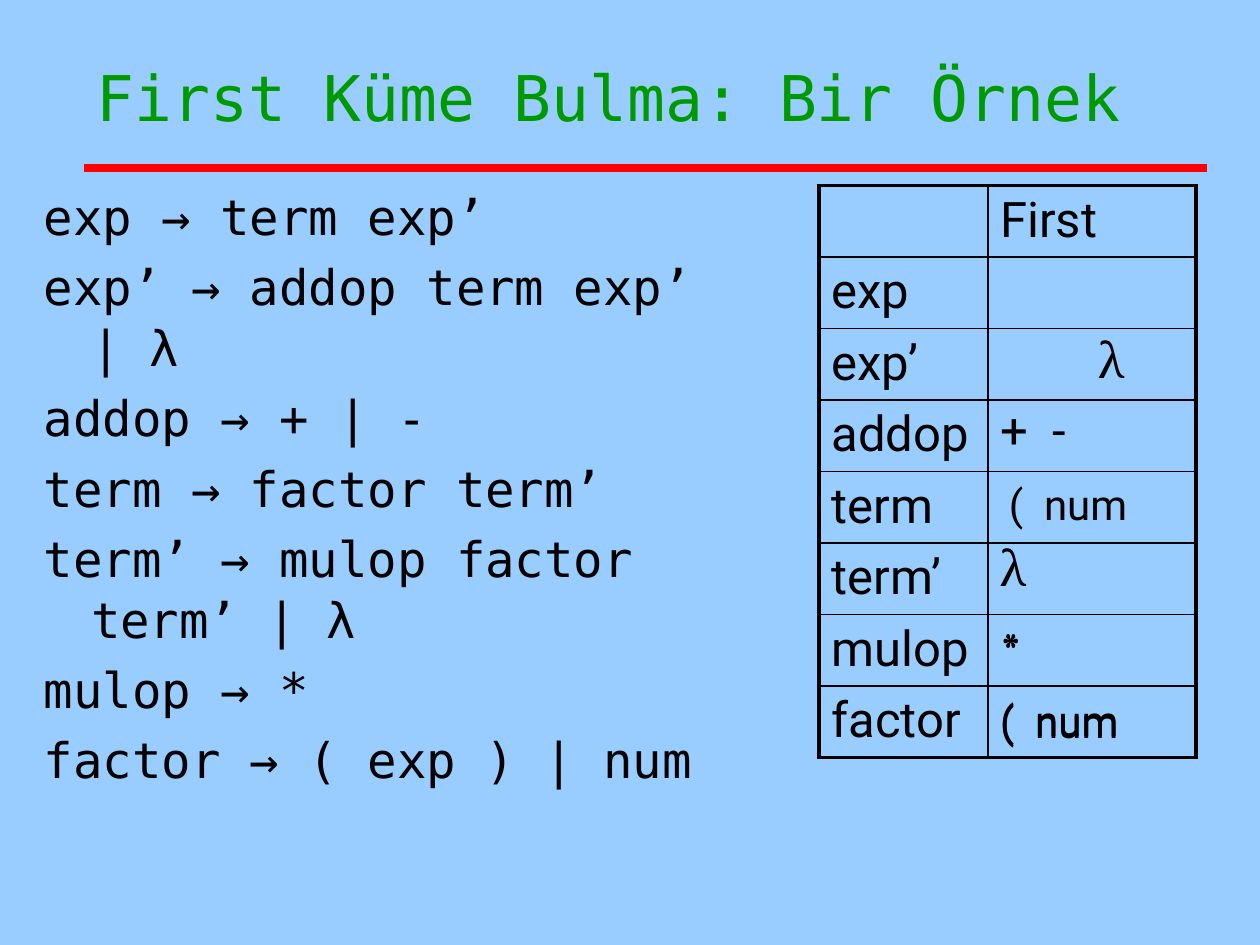
from lxml.etree import SubElement
from pptx import Presentation
from pptx.dml.color import RGBColor
from pptx.enum.shapes import MSO_CONNECTOR
from pptx.enum.text import MSO_ANCHOR
from pptx.oxml.ns import qn
from pptx.util import Pt

SKY = RGBColor(0x99, 0xCC, 0xFF)
GREEN = RGBColor(0x00, 0x99, 0x00)
RED = RGBColor(0xFF, 0x00, 0x00)
BLACK = RGBColor(0x00, 0x00, 0x00)
MONO, SANS, SERIF = "DejaVu Sans Mono", "Roboto", "Cambria"

GRAMMAR = [
    "exp → term exp’",
    "exp’ → addop term exp’ | λ",
    "addop → + | -",
    "term → factor term’",
    "term’ → mulop factor term’ | λ",
    "mulop → *",
    "factor → ( exp ) | num",
]
TABLE_ROWS = [
    ("", "First"), ("exp", ""), ("exp’", ""), ("addop", ""),
    ("term", ""), ("term’", ""), ("mulop", ""), ("factor", ""),
]
FIRST_SETS = [
    ("λ", 620.64, 185, 30, SERIF, 28, None),
    ("λ", 564.5, 303.8, 30, SERIF, 28, None),
    ("*", 564.5, 349.9, 29, SERIF, 28, None),
    ("(\tnum", 564.5, 393.1, 86, SANS, 24, 20),
    ("+\t-", 564.5, 224.6, 63, SANS, 28, 30),
    ("(\tnum", 564.5, 394.6, 86, SANS, 24, 20),
    ("*", 564.5, 349.2, 29, SERIF, 28, None),
    ("(\tnum", 569.5, 270, 86, SANS, 24, 20),
]


def write_text(frame, text, font=MONO, size=28, color=BLACK, hanging=0,
               gap=0, line_spacing=None, tab_stop=None):
    frame.word_wrap = True
    frame.vertical_anchor = MSO_ANCHOR.TOP
    for index, line in enumerate(text.split("\n")):
        para = frame.add_paragraph() if index else frame.paragraphs[0]
        if line_spacing:
            para.line_spacing = line_spacing
        if index:
            para.space_before = Pt(gap)
        properties = para._p.get_or_add_pPr()
        if hanging:
            properties.set("marL", str(Pt(hanging)))
            properties.set("indent", str(-Pt(hanging)))
        if tab_stop:
            tabs = SubElement(properties, qn("a:tabLst"))
            SubElement(tabs, qn("a:tab"), pos=str(Pt(tab_stop)), algn="l")
        span = para.add_run()
        span.text = line
        span.font.name = font
        span.font.size = Pt(size)
        span.font.color.rgb = color


def add_text(page, text, left, top, width, height, **text_format):
    box = page.shapes.add_textbox(Pt(left), Pt(top), Pt(width), Pt(height))
    write_text(box.text_frame, text, **text_format)


def add_rule(page, left, right, top):
    rule = page.shapes.add_connector(
        MSO_CONNECTOR.STRAIGHT, Pt(left), Pt(top), Pt(right), Pt(top))
    rule.line.color.rgb = RED
    rule.line.width = Pt(4.5)
    SubElement(rule._element.spPr, qn("a:effectLst"))


def set_borders(cell, widths):
    properties = cell._tc.get_or_add_tcPr()
    for side, width in widths.items():
        line = SubElement(properties, qn(f"a:ln{side}"), w=str(Pt(width)))
        fill = SubElement(line, qn("a:solidFill"))
        SubElement(fill, qn("a:srgbClr"), val=str(BLACK))


def add_first_table(page, left, top, column_widths, row_height):
    row_count, column_count = len(TABLE_ROWS), len(column_widths)
    table = page.shapes.add_table(
        row_count, column_count, Pt(left), Pt(top),
        Pt(sum(column_widths)), Pt(row_height * row_count)).table
    table.first_row = False
    table.horz_banding = False
    for column, width in zip(table.columns, column_widths):
        column.width = Pt(width)
    for row_index, texts in enumerate(TABLE_ROWS):
        table.rows[row_index].height = Pt(row_height)
        for column_index, text in enumerate(texts):
            cell = table.cell(row_index, column_index)
            outer = {
                "L": column_index == 0,
                "R": column_index == column_count - 1,
                "T": row_index == 0,
                "B": row_index == row_count - 1,
            }
            set_borders(cell, {side: 2.25 if edge else 1
                               for side, edge in outer.items()})
            cell.fill.background()
            if text:
                write_text(cell.text_frame, text, font=SANS)


def main():
    deck = Presentation()
    deck.slide_width, deck.slide_height = Pt(720), Pt(540)
    page = deck.slides.add_slide(deck.slide_layouts[6])
    page.background.fill.solid()
    page.background.fill.fore_color.rgb = SKY

    add_rule(page, 48, 690, 96)
    add_text(page, "First Küme Bulma: Bir Örnek", 48, 30, 642, 90,
             size=36, color=GREEN)
    add_text(page, "\n".join(GRAMMAR), 18, 102, 405, 402,
             hanging=27, gap=5.6, line_spacing=1.03)
    add_first_table(page, 468, 106, (96.5, 119), 40)
    for text, left, top, width, font, size, tab_stop in FIRST_SETS:
        add_text(page, text, left, top, width, size * 1.2 + 7.2,
                 font=font, size=size, tab_stop=tab_stop)

    deck.save("out.pptx")


if __name__ == "__main__":
    main()
